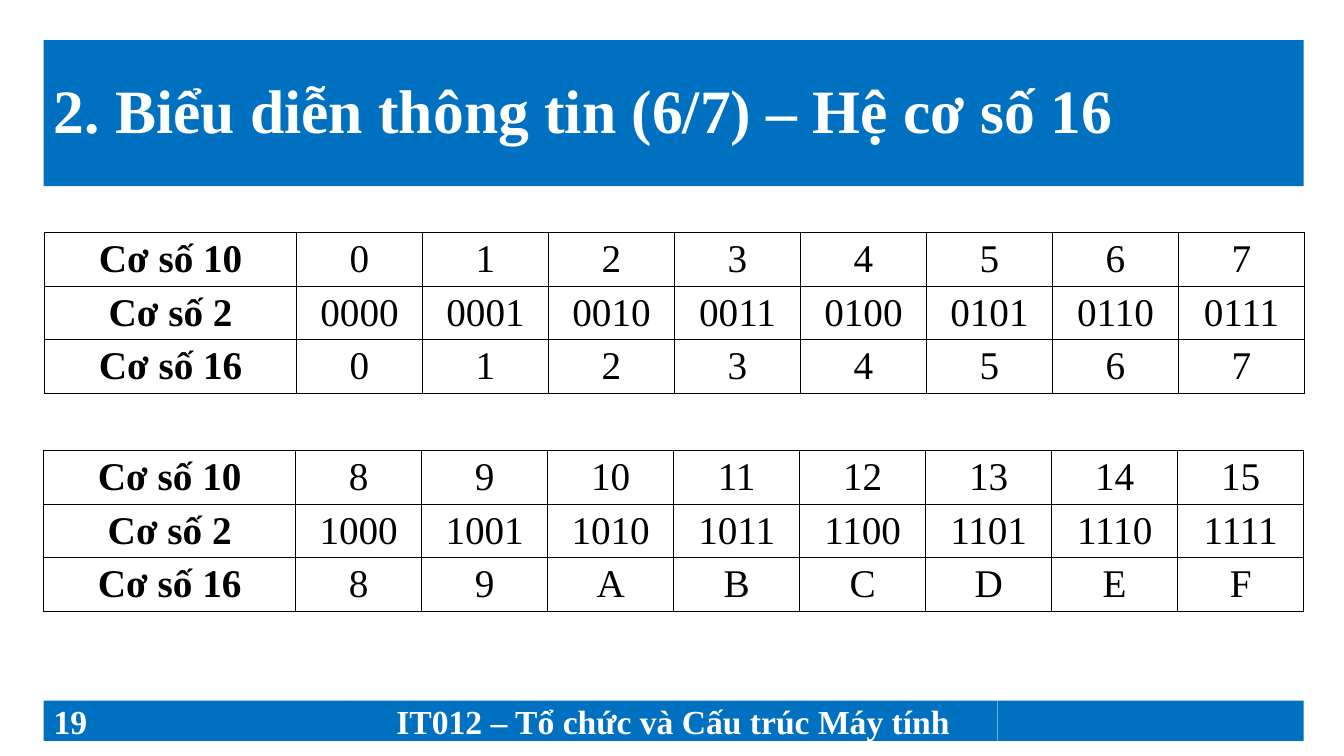
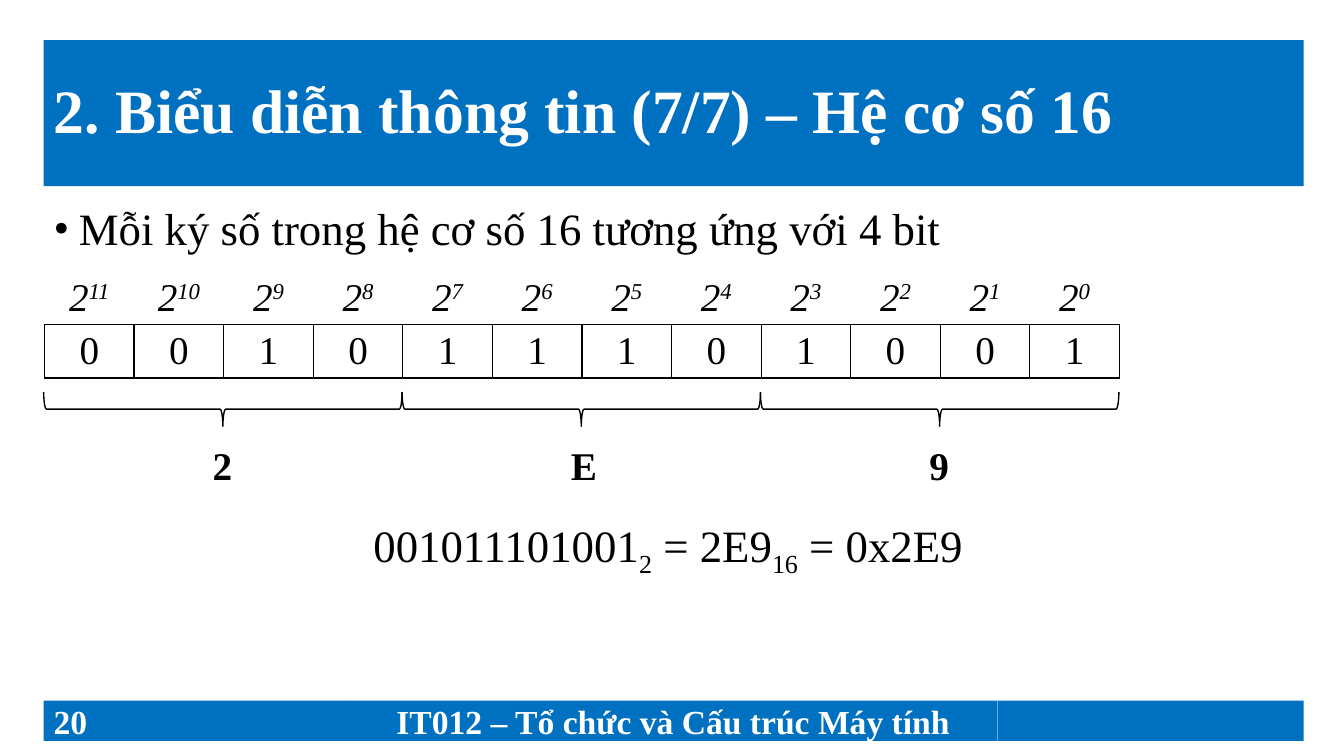
import pptx
import pptx.util
import pptx.dml.color
import pptx.enum.shapes
import pptx.enum.text
import lxml.etree

Pt = pptx.util.Pt
RGB = pptx.dml.color.RGBColor
SHAPES = pptx.enum.shapes.MSO_SHAPE
ALIGN = pptx.enum.text.PP_ALIGN
ANCHOR = pptx.enum.text.MSO_ANCHOR

# Content
COURSE = "IT012 – Tổ chức và Cấu trúc Máy tính"
LESSONS = [
    {"number": "19", "title": "2. Biểu diễn thông tin (6/7) – Hệ cơ số 16"},
    {"number": "20", "title": "2. Biểu diễn thông tin (7/7) – Hệ cơ số 16"},
]
BASES = [("Cơ số 10", "d"), ("Cơ số 2", "04b"), ("Cơ số 16", "X")]
# Conversion tables: left, top, values
CONVERSIONS = [(31.8, 166.3, range(0, 8)), (31.2, 322, range(8, 16))]
RULE = "Mỗi ký số trong hệ cơ số 16 tương ứng với 4 bit"
BITS = "001011101001"
PADDING_BITS = 2
HEX_DIGITS = "2E9"
SUB, SUPER = -25, 30
EQUATION = [("001011101001", 0), ("2", SUB), (" = 2E9", 0), ("16", SUB), (" = 0x2E9", 0)]

# Theme
THEME = {
    "font": "Times New Roman",
    "band": RGB.from_string("0070C0"),
    "light": RGB.from_string("FFFFFF"),
    "ink": RGB.from_string("000000"),
    "title": Pt(44), "body": Pt(32), "cell": Pt(28), "footer": Pt(24),
}
BAND_TEXT = {"bold": True, "color": THEME["light"]}
LEFT, WIDTH = 31.2, 900
ROW_HEIGHT = 38.2
FOOTER_TOP, FOOTER_HEIGHT = 500.4, 28.8
BIT_WIDTH, BITS_LEFT, BITS_TOP = 64, 31.8, 193.7
BRACE_TOP, BRACE_DEPTH = 280, 24.5
HEX_TOP = 312


def write(frame, runs, size, color=THEME["ink"], spacing=None, paragraph_format=None, **font_format):
    """Fill the first paragraph; runs are (text, baseline shift) pairs."""
    paragraph = frame.paragraphs[0]
    for key, value in (paragraph_format or {}).items():
        setattr(paragraph, key, value)
    for text, baseline in runs:
        run = paragraph.add_run()
        run.text = text
        for key, value in {"name": THEME["font"], "size": size, **font_format}.items():
            setattr(run.font, key, value)
        run.font.color.rgb = color
        properties = run._r.get_or_add_rPr()
        if baseline:
            properties.set("baseline", str(baseline * 1000))
        if spacing:
            properties.set("spc", str(spacing))
    return paragraph


def add_band(slide, left, top, width, height, text="", size=None, **paragraph_format):
    band = slide.shapes.add_shape(SHAPES.RECTANGLE, Pt(left), Pt(top), Pt(width), Pt(height))
    band.shadow.inherit = False
    band.fill.solid()
    band.fill.fore_color.rgb = THEME["band"]
    band.line.fill.background()
    band.text_frame.vertical_anchor = ANCHOR.MIDDLE
    if text:
        write(band.text_frame, [(text, 0)], size, **BAND_TEXT,
              paragraph_format={"alignment": ALIGN.LEFT, **paragraph_format})


def add_text(slide, left, top, width, height, runs, size, **text_format):
    box = slide.shapes.add_textbox(Pt(left), Pt(top), Pt(width), Pt(height))
    box.text_frame.word_wrap = True
    return write(box.text_frame, runs, size, **text_format)


def add_bullet(paragraph, indent):
    qn = pptx.oxml.ns.qn
    properties = paragraph._p.get_or_add_pPr()
    properties.set("marL", str(Pt(indent)))
    properties.set("indent", str(-Pt(indent)))
    lxml.etree.SubElement(properties, qn("a:buFont"), typeface=THEME["font"])
    lxml.etree.SubElement(properties, qn("a:buChar"), char="•")


def add_grid(slide, left, top, widths, row_count):
    frame = slide.shapes.add_table(row_count, len(widths), Pt(left), Pt(top),
                                   Pt(sum(widths)), Pt(ROW_HEIGHT * row_count))
    grid = frame.table
    grid.first_row = grid.horz_banding = False
    for column, width in zip(grid.columns, widths):
        column.width = Pt(width)
    for row in grid.rows:
        row.height = Pt(ROW_HEIGHT)
    return grid


def style_cell(cell, ruled="LRTB"):
    """Rule the named sides in black and leave the cell unfilled."""
    qn = pptx.oxml.ns.qn
    properties = cell._tc.get_or_add_tcPr()
    for side in "LRTB":
        edge = lxml.etree.SubElement(properties, qn("a:ln" + side), w=str(Pt(1)))
        if side in ruled:
            paint = lxml.etree.SubElement(edge, qn("a:solidFill"))
            lxml.etree.SubElement(paint, qn("a:srgbClr"), val=str(THEME["ink"]))
        else:
            lxml.etree.SubElement(edge, qn("a:noFill"))
    cell.fill.background()


def start_slide(deck, lesson):
    """Title band and three-part footer shared by every slide."""
    slide = deck.slides.add_slide(deck.slide_layouts[6])
    add_band(slide, LEFT, 28.6, WIDTH, 104.4, lesson["title"], THEME["title"], line_spacing=0.9)
    footer_parts = [
        (249.2, 463.2, COURSE, ALIGN.CENTER),
        (712.6, 218.6, "", ALIGN.LEFT),
        (LEFT, 218.4, lesson["number"], ALIGN.LEFT),
    ]
    for left, width, text, alignment in footer_parts:
        add_band(slide, left, FOOTER_TOP, width, FOOTER_HEIGHT, text, THEME["footer"],
                 alignment=alignment)
    return slide


def add_conversion(slide, left, top, values):
    grid = add_grid(slide, left, top, [180] + [90] * len(values), len(BASES))
    for row, (base, digits) in enumerate(BASES):
        for column, text in enumerate([base] + [format(value, digits) for value in values]):
            cell = grid.cell(row, column)
            style_cell(cell)
            write(cell.text_frame, [(text, 0)], THEME["cell"], bold=column == 0,
                  paragraph_format={"alignment": ALIGN.CENTER})


def add_bit_table(slide, first, last):
    """Powers of two above the bits from first up to last."""
    grid = add_grid(slide, BITS_LEFT + first * BIT_WIDTH, BITS_TOP,
                    [BIT_WIDTH] * (last - first), 2)
    cell_format = {"vertical_anchor": ANCHOR.MIDDLE, "margin_left": Pt(5), "margin_right": Pt(5),
                   "margin_top": 0, "margin_bottom": 0}
    for column, place in enumerate(range(first, last)):
        power = [("2", 0), (str(len(BITS) - 1 - place), SUPER)]
        for row, (runs, ruled) in enumerate([(power, "B"), ([(BITS[place], 0)], "LRTB")]):
            cell = grid.cell(row, column)
            for key, value in cell_format.items():
                setattr(cell, key, value)
            style_cell(cell, ruled)
            write(cell.text_frame, runs, THEME["cell"], spacing=-20, italic=row == 0,
                  paragraph_format={"alignment": ALIGN.CENTER, "space_before": Pt(6)})


def add_hex_groups(slide):
    """One brace and one hexadecimal digit under each four bits."""
    span = BIT_WIDTH * len(BITS) / len(HEX_DIGITS)
    for group, digit in enumerate(HEX_DIGITS):
        center = LEFT + span * (group + 0.5)
        # The upright brace is turned about its centre
        brace = slide.shapes.add_shape(
            SHAPES.LEFT_BRACE, Pt(center - BRACE_DEPTH / 2),
            Pt(BRACE_TOP + BRACE_DEPTH / 2 - span / 2), Pt(BRACE_DEPTH), Pt(span))
        brace.rotation = 270
        brace.shadow.inherit = False
        brace.fill.background()
        brace.line.color.rgb = THEME["ink"]
        brace.line.width = Pt(1)
        add_text(slide, center - 14.4, HEX_TOP, 36, 41, [(digit, 0)], THEME["cell"], bold=True)


def main():
    deck = pptx.Presentation()
    deck.slide_width, deck.slide_height = Pt(960), Pt(540)

    # Conversion tables
    slide = start_slide(deck, LESSONS[0])
    for left, top, values in CONVERSIONS:
        add_conversion(slide, left, top, values)

    # Four bits per hexadecimal digit
    slide = start_slide(deck, LESSONS[1])
    rule = add_text(slide, LEFT, 144, WIDTH, 44, [(RULE, 0)], THEME["body"],
                    paragraph_format={"line_spacing": 0.9})
    add_bullet(rule, 18)
    for first, last in [(PADDING_BITS, len(BITS)), (0, PADDING_BITS)]:
        add_bit_table(slide, first, last)
    add_hex_groups(slide)
    add_text(slide, LEFT - 4, 367, WIDTH, 44, EQUATION, THEME["body"],
             paragraph_format={"alignment": ALIGN.CENTER, "line_spacing": 0.9})

    deck.save("out.pptx")


if __name__ == "__main__":
    main()
